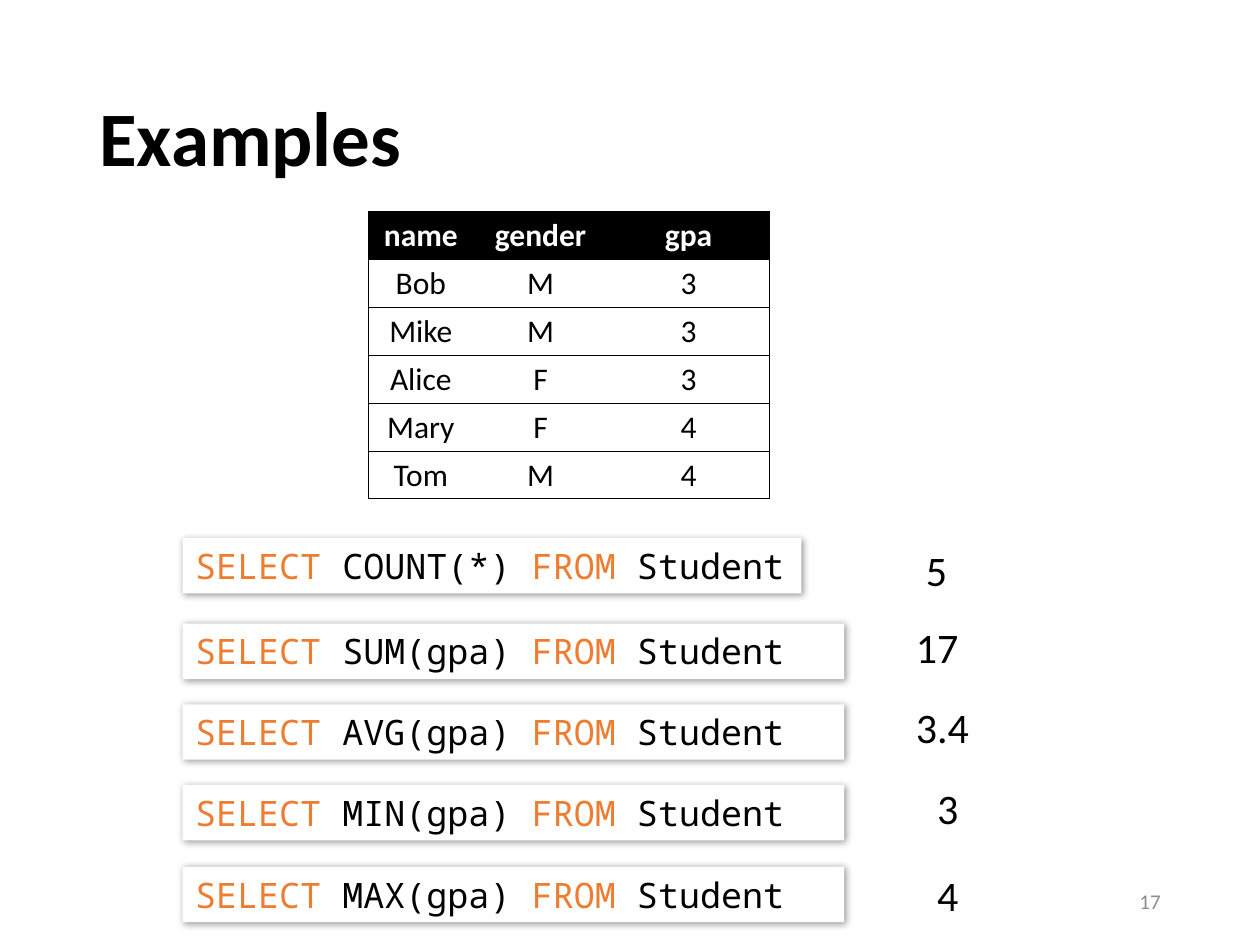
from lxml.etree import SubElement
from pptx import Presentation
from pptx.dml.color import RGBColor
from pptx.enum.shapes import MSO_SHAPE
from pptx.enum.text import MSO_ANCHOR, MSO_AUTO_SIZE, PP_ALIGN
from pptx.oxml import parse_xml
from pptx.oxml.ns import nsdecls, qn
from pptx.util import Inches, Pt

BLACK, WHITE, ORANGE, GREY = "000000", "FFFFFF", "ED7D31", "8C8C8C"
BODY, CODE = "Calibri", "Noto Sans Mono"

STUDENTS = [
    ("name", "gender", "gpa"),
    ("Bob", "M", "3"),
    ("Mike", "M", "3"),
    ("Alice", "F", "3"),
    ("Mary", "F", "4"),
    ("Tom", "M", "4"),
]
COLUMNS, ROW = (0.84, 1.06, 1.29), 0.38

# aggregate, query top, query width, result, result left, result top, result width
QUERIES = [
    ("COUNT(*)", 4.27, 4.91, "5", 7.25, 4.27, 0.37),
    ("SUM(gpa)", 4.95, 5.25, "17", 7.17, 4.88, 0.54),
    ("AVG(gpa)", 5.59, 5.25, "3.4", 7.17, 5.52, 0.63),
    ("MIN(gpa)", 6.23, 5.25, "3", 7.34, 6.16, 0.37),
    ("MAX(gpa)", 6.88, 5.25, "4", 7.34, 6.85, 0.37),
]
QUERY_LEFT, QUERY_HEIGHT, RESULT_HEIGHT = 1.45, 0.44, 0.5


def rgb(color):
    return RGBColor.from_string(color)


def box(*lengths):
    return [Inches(v) for v in lengths]


def write(tf, runs, size, font=BODY, bold=False, align=PP_ALIGN.LEFT):
    """Fill the first paragraph with (text, colour) runs."""
    p = tf.paragraphs[0]
    p.alignment = align
    for text, color in runs:
        r = p.add_run()
        r.text = text
        for name, value in {"name": font, "size": Pt(size), "bold": bold}.items():
            setattr(r.font, name, value)
        r.font.color.rgb = rgb(color)
    return p


def add_text(s, at, text, size, color=BLACK, bold=False, align=PP_ALIGN.LEFT, **frame):
    tf = s.shapes.add_textbox(*box(*at)).text_frame
    for name, value in frame.items():
        setattr(tf, name, value)
    return write(tf, [(text, color)], size, bold=bold, align=align)


def set_borders(cell, visible):
    """Draw the named sides (L, R, T, B) in black and hide the others."""
    tc_pr = cell._tc.get_or_add_tcPr()
    for side in "LRTB":
        ln = SubElement(tc_pr, qn(f"a:ln{side}"), w=str(Pt(0.5)))
        if side in visible:
            SubElement(SubElement(ln, qn("a:solidFill")), qn("a:srgbClr"), val=BLACK)
        else:
            SubElement(ln, qn("a:noFill"))


def add_students(s):
    at = box(2.92, 1.68, sum(COLUMNS), ROW * len(STUDENTS))
    table = s.shapes.add_table(len(STUDENTS), len(COLUMNS), *at).table
    for column, width in zip(table.columns, COLUMNS):
        column.width = Inches(width)
    for i, values in enumerate(STUDENTS):
        table.rows[i].height = Inches(ROW)
        header = i == 0
        for j, value in enumerate(values):
            cell = table.cell(i, j)
            cell.margin_left = cell.margin_right = Inches(0.07)
            cell.margin_top = cell.margin_bottom = Inches(0.04)
            sides = "TB" + "L" * (j == 0) + "R" * (j == len(COLUMNS) - 1)
            set_borders(cell, sides)
            cell.fill.solid()
            cell.fill.fore_color.rgb = rgb(BLACK if header else WHITE)
            write(cell.text_frame, [(value, WHITE if header else BLACK)], 18,
                  bold=header, align=PP_ALIGN.CENTER)


def add_query(s, aggregate, top, width):
    sp = s.shapes.add_shape(MSO_SHAPE.RECTANGLE, *box(QUERY_LEFT, top, width, QUERY_HEIGHT))
    sp.fill.solid()
    sp.fill.fore_color.rgb = rgb(WHITE)
    sp.line.fill.background()
    sp._element.spPr.append(parse_xml(
        f'<a:effectLst {nsdecls("a")}>'
        f'<a:outerShdw blurRad="{Pt(4)}" dist="{Pt(1)}" dir="{45 * 60000}" algn="tl" rotWithShape="0">'
        f'<a:srgbClr val="{BLACK}"><a:alpha val="40000"/></a:srgbClr>'
        '</a:outerShdw></a:effectLst>'))
    tf = sp.text_frame
    tf.word_wrap = True
    tf.vertical_anchor = MSO_ANCHOR.TOP
    write(tf, [("SELECT ", ORANGE), (aggregate + " ", BLACK),
               ("FROM ", ORANGE), ("Student", BLACK)], 20, CODE)


def main():
    prs = Presentation()
    prs.slide_width, prs.slide_height = box(10, 7.5)
    s = prs.slides.add_slide(prs.slide_layouts[6])

    middle = {"word_wrap": True, "vertical_anchor": MSO_ANCHOR.MIDDLE}
    title = add_text(s, (0.69, 0.4, 8.62, 1.45), "Examples", 44, bold=True, **middle)
    title.line_spacing = 0.9
    add_text(s, (7.06, 6.95, 2.25, 0.4), "17", 12, GREY, align=PP_ALIGN.RIGHT, **middle)

    add_students(s)
    for aggregate, top, width, result, left, result_top, result_width in QUERIES:
        add_query(s, aggregate, top, width)
        add_text(s, (left, result_top, result_width, RESULT_HEIGHT), result, 24,
                 word_wrap=False, auto_size=MSO_AUTO_SIZE.SHAPE_TO_FIT_TEXT)

    prs.save("out.pptx")


if __name__ == "__main__":
    main()
